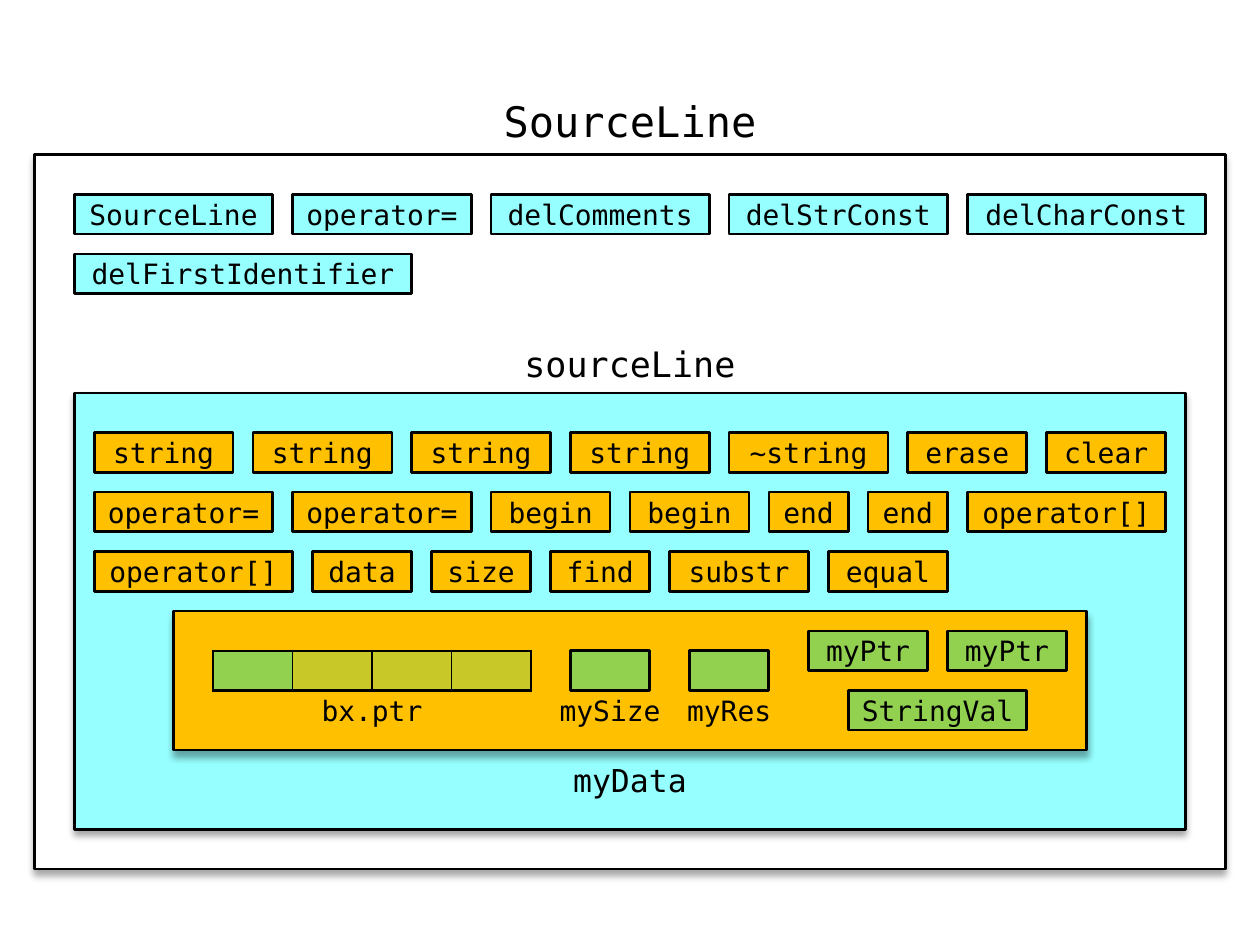
from lxml import etree
from pptx import Presentation
from pptx.dml.color import RGBColor
from pptx.enum.shapes import MSO_SHAPE
from pptx.enum.text import MSO_ANCHOR, PP_ALIGN
from pptx.oxml.ns import qn
from pptx.util import Inches, Pt

PX = 7200  # EMU per px, 127 px to the inch
GAP, ROW_H, LABEL_H = 20, 40, 60
FONT = "DejaVu Sans Mono"
BLACK = RGBColor(0x00, 0x00, 0x00)
WHITE = RGBColor(0xFF, 0xFF, 0xFF)
CYAN = RGBColor(0x96, 0xFF, 0xFF)
ORANGE = RGBColor(0xFF, 0xC0, 0x00)
GREEN = RGBColor(0x92, 0xD0, 0x50)
PROCESS, RECT = MSO_SHAPE.FLOWCHART_PROCESS, MSO_SHAPE.RECTANGLE
CENTER = PP_ALIGN.CENTER
TOP, MIDDLE = MSO_ANCHOR.TOP, MSO_ANCHOR.MIDDLE

# Content: nested objects (left, top, width, height, fill)
FRAMES = [
    (35, 156, 1200, 720, WHITE),
    (75, 396, 1120, 440, CYAN),
    (175, 616, 920, 140, ORANGE),
]
TITLE = ("SourceLine", 475, 96, 320, 24)
LABELS = [  # text, left, top, width, size
    ("sourceLine", 515, 336, 240, 20),
    ("myData", 555, 756, 160, 18),
]
# Member functions: left, top, fill, rows of (name, width)
METHODS = [
    (75, 196, CYAN, [
        [("SourceLine", 200), ("operator=", 180), ("delComments", 220),
         ("delStrConst", 220), ("delCharConst", 240)],
        [("delFirstIdentifier", 340)],
    ]),
    (95, 436, ORANGE, [
        [("string", 140)] * 4 + [("~string", 160), ("erase", 120), ("clear", 120)],
        [("operator=", 180)] * 2 + [("begin", 120)] * 2 + [("end", 80)] * 2
        + [("operator[]", 200)],
        [("operator[]", 200), ("data", 100), ("size", 100), ("find", 100),
         ("substr", 140), ("equal", 120)],
    ]),
    (815, 636, GREEN, [[("myPtr", 120)] * 2]),
    (855, 696, GREEN, [[("StringVal", 180)]]),
]
# Data members
FIELD_TOP, FIELD_W, NAME_W = 656, 80, 120
FIELDS = [("mySize", 575), ("myRes", 695)]  # name, left of field
FIELD_NAMES = [("bx.ptr", 315), ("mySize", 555), ("myRes", 675)]
BUFFER_LEFT, BUFFER_CELLS = 215, 4


def px(*lengths):
    return [n * PX for n in lengths]


def write(s, text, size, anchor=MIDDLE):
    tf = s.text_frame
    tf.word_wrap = False
    tf.vertical_anchor = anchor
    tf.margin_left = tf.margin_right = tf.margin_top = tf.margin_bottom = 0
    p = tf.paragraphs[0]
    p.alignment = CENTER
    r = p.add_run()
    r.text = text
    r.font.name, r.font.size, r.font.color.rgb = FONT, Pt(size), BLACK


def add_box(kind, left, top, width, height, fill):
    s = slide.shapes.add_shape(kind, *px(left, top, width, height))
    s.shadow.inherit = False
    s.fill.solid()
    s.fill.fore_color.rgb = fill
    s.line.color.rgb = BLACK
    s.line.width = Pt(1.5)
    return s


def add_label(text, left, top, width, height, size):
    s = slide.shapes.add_textbox(*px(left, top, width, height))
    write(s, text, size)


def add_shadow(s):
    effects = s._element.spPr.find(qn("a:effectLst"))
    shadow = etree.SubElement(effects, qn("a:outerShdw"), blurRad=str(Pt(4)),
                              dist=str(Pt(3)), dir="5400000", rotWithShape="0")
    color = etree.SubElement(shadow, qn("a:srgbClr"), val=str(BLACK))
    etree.SubElement(color, qn("a:alpha"), val="35000")


def set_borders(cell, widths):
    tcPr = cell._tc.get_or_add_tcPr()
    for i, (side, width) in enumerate(widths):
        ln = etree.Element(qn("a:ln" + side), w=str(Pt(width)))
        fill = etree.SubElement(ln, qn("a:solidFill"))
        etree.SubElement(fill, qn("a:srgbClr"), val=str(BLACK))
        tcPr.insert(i, ln)


prs = Presentation()
prs.slide_width, prs.slide_height = Inches(10), Inches(7.5)
slide = prs.slides.add_slide(prs.slide_layouts[5])

# Title
text, left, top, width, size = TITLE
title = slide.shapes.title
title.left, title.top, title.width, title.height = px(left, top, width, LABEL_H)
write(title, text, size, TOP)

# Nested objects and their names
for frame in FRAMES:
    add_shadow(add_box(PROCESS, *frame))
for text, left, top, width, size in LABELS:
    add_label(text, left, top, width, LABEL_H, size)

# Member functions, flowing left to right in rows
for left, top, fill, rows in METHODS:
    for i, row in enumerate(rows):
        x = left
        for name, width in row:
            s = add_box(PROCESS, x, top + i * (ROW_H + GAP), width, ROW_H, fill)
            write(s, name, 16)
            x += width + GAP

# Data members
for name, left in FIELDS:
    add_box(RECT, left, FIELD_TOP, FIELD_W, ROW_H, GREEN)
for name, left in FIELD_NAMES:
    add_label(name, left, FIELD_TOP + ROW_H, NAME_W, ROW_H, 16)

# Character buffer: the first cell is solid, the rest half transparent
table = slide.shapes.add_table(
    1, BUFFER_CELLS,
    *px(BUFFER_LEFT, FIELD_TOP, FIELD_W * BUFFER_CELLS, ROW_H)).table
table.first_row = table.horz_banding = False
for i, cell in enumerate(table.rows[0].cells):
    cell.margin_top = cell.margin_bottom = 0
    p = cell.text_frame.paragraphs[0]
    etree.SubElement(p._p, qn("a:endParaRPr"), sz="1200")
    cell.fill.solid()
    cell.fill.fore_color.rgb = GREEN
    if i > 0:
        color = cell._tc.tcPr.find(".//" + qn("a:srgbClr"))
        etree.SubElement(color, qn("a:alpha"), val="50000")
    set_borders(cell, [("L", 1.5 if i == 0 else 1),
                       ("R", 1.5 if i == BUFFER_CELLS - 1 else 1),
                       ("T", 1.5), ("B", 1.5)])

prs.save("out.pptx")
